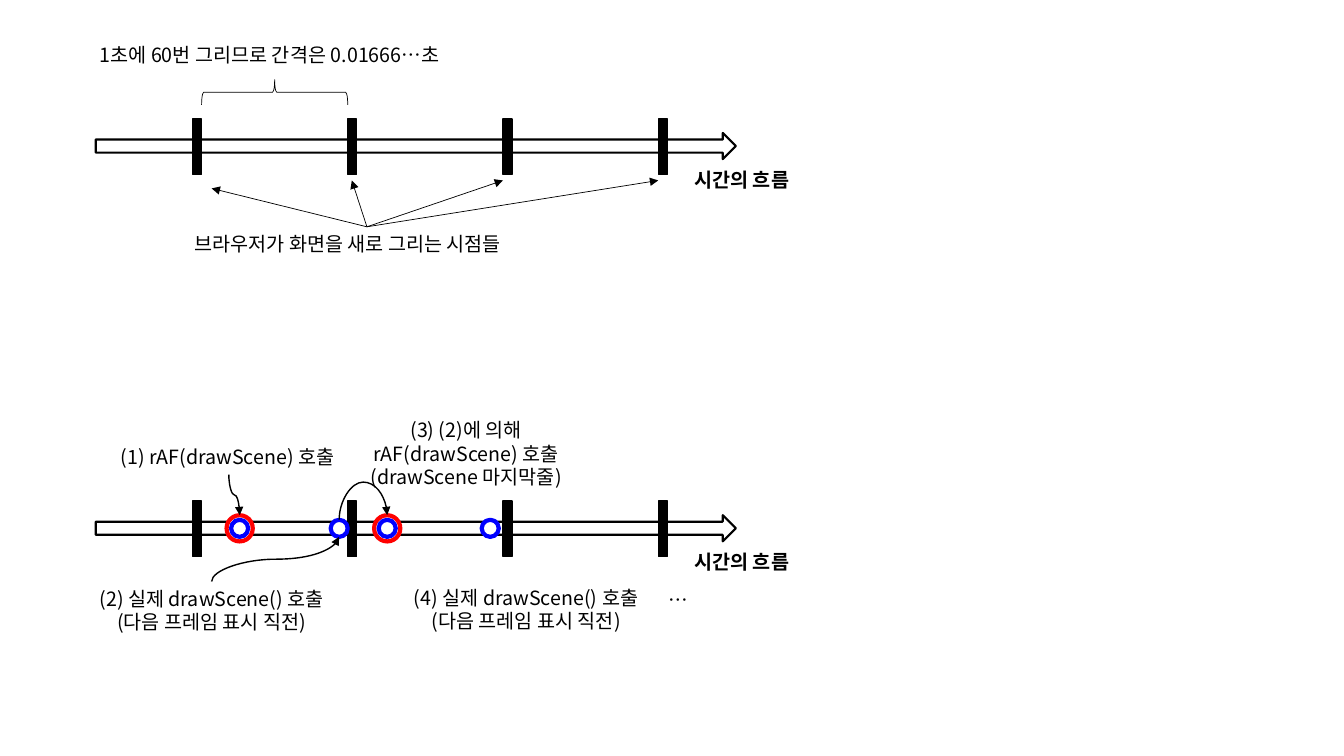
from dataclasses import dataclass

from lxml import etree
from pptx import Presentation
from pptx import util as u
from pptx.dml.color import RGBColor
from pptx.enum import shapes, text
from pptx.oxml.ns import qn


@dataclass(frozen=True)
class Theme:
    font: str = "Noto Sans CJK KR"
    size: float = 14
    ink: str = "000000"
    paper: str = "FFFFFF"
    request: str = "FF0000"
    draw: str = "0000FF"
    hairline: float = 0.5
    thin: float = 1
    medium: float = 1.5
    thick: float = 3


class TimelineSlide:
    def __init__(self, slide, theme):
        self.slide = slide
        self.theme = theme

    def shape(self, kind, left, top, width, height, fill, line, weight):
        shape = self.slide.shapes.add_shape(
            kind, u.Pt(left), u.Pt(top), u.Pt(width), u.Pt(height))
        shape.shadow.inherit = False
        if fill:
            shape.fill.solid()
            shape.fill.fore_color.rgb = RGBColor.from_string(fill)
        else:
            shape.fill.background()
        shape.line.color.rgb = RGBColor.from_string(line)
        shape.line.width = u.Pt(weight)
        return shape

    def ring(self, center_x, center_y, diameter, color):
        self.shape(shapes.MSO_SHAPE.OVAL, center_x - diameter / 2,
                   center_y - diameter / 2, diameter, diameter,
                   self.theme.paper, color, self.theme.thick)

    def label(self, left, top, width, height, lines, centered=False, bold=False):
        box = self.slide.shapes.add_textbox(
            u.Pt(left), u.Pt(top), u.Pt(width), u.Pt(height))
        frame = box.text_frame
        frame.word_wrap = True
        frame.auto_size = text.MSO_AUTO_SIZE.SHAPE_TO_FIT_TEXT
        for number, line in enumerate(lines):
            paragraph = frame.add_paragraph() if number else frame.paragraphs[0]
            if centered:
                paragraph.alignment = text.PP_ALIGN.CENTER
            run = paragraph.add_run()
            run.text = line
            font = run.font
            font.name = self.theme.font
            font.size = u.Pt(self.theme.size)
            font.bold = bold
            font.color.rgb = RGBColor.from_string(self.theme.ink)
            east_asian = etree.SubElement(font._element, qn("a:ea"))
            east_asian.set("typeface", self.theme.font)
        return box

    def arrow(self, kind, begin, end, weight):
        connector = self.slide.shapes.add_connector(
            kind, *(u.Pt(value) for value in (*begin, *end)))
        connector.line.color.rgb = RGBColor.from_string(self.theme.ink)
        connector.line.width = u.Pt(weight)
        outline = connector.line._get_or_add_ln()
        etree.SubElement(outline, qn("a:tailEnd")).set("type", "triangle")
        etree.SubElement(connector._element.spPr, qn("a:effectLst"))
        return connector

    def straight_arrow(self, source, end):
        """Arrow from the top middle of the source box."""
        connector = self.arrow(shapes.MSO_CONNECTOR.STRAIGHT, (0, 0), end,
                               self.theme.hairline)
        connector.begin_connect(source, 0)

    def curved_arrow(self, begin, end, bend=None):
        """S-curve that leaves and arrives vertically; bend places its middle."""
        (x1, y1), (x2, y2) = begin, end
        middle_x, middle_y = (x1 + x2) / 2, (y1 + y2) / 2
        upward = y2 < y1
        half_width = abs(y2 - y1) / 2
        half_height = (x2 - x1) / 2 * (1 if upward else -1)
        connector = self.arrow(
            shapes.MSO_CONNECTOR.CURVE,
            (middle_x + half_width, middle_y + half_height),
            (middle_x - half_width, middle_y - half_height), self.theme.thin)
        properties = connector._element.spPr
        properties.find(qn("a:xfrm")).set("rot", str((90 if upward else 270) * 60000))
        if bend is not None:
            values = properties.find(qn("a:prstGeom")).find(qn("a:avLst"))
            guide = etree.SubElement(values, qn("a:gd"))
            guide.set("name", "adj1")
            guide.set("fmla", f"val {round(bend * 100000)}")

    def timeline(self, top):
        theme = self.theme
        self.shape(shapes.MSO_SHAPE.RIGHT_ARROW, 68.4, top, 457.2, 18.7,
                   theme.paper, theme.ink, theme.medium)
        for frame in range(4):
            self.shape(shapes.MSO_SHAPE.RECTANGLE, FIRST_TICK + frame * TICK_STEP,
                       top - 10, TICK_WIDTH, 39.6, theme.ink, theme.ink, theme.thin)
        self.label(488.9, top + 21.2, 90, 24.5, ["시간의 흐름"], bold=True)


FIRST_TICK, TICK_STEP, TICK_WIDTH = 137.5, 110.9, 6.5
UPPER, LOWER = 95, 368
RING_Y = LOWER + 9.4
REQUEST_RING, DRAW_RING = 18.7, 12.2


def draw_refresh_interval(page):
    page.timeline(UPPER)
    brace = page.shape(shapes.MSO_SHAPE.RIGHT_BRACE, 187.2, 13.7, 18, 104.4,
                       None, page.theme.ink, page.theme.hairline)
    brace.rotation = 270
    page.label(64.1, 27.4, 273.6, 24.5, ["1초에 60번 그리므로 간격은 0.01666…초"])
    caption = page.label(131.8, 162, 260.6, 24.5,
                         ["브라우저가 화면을 새로 그리는 시점들"])
    for tip in ((151.2, 134.6), (251.3, 128.9), (359.3, 128.9), (470.2, 128.9)):
        page.straight_arrow(caption, tip)


def draw_request_cycle(page):
    theme = page.theme
    page.timeline(LOWER)
    requests = (171.2, 276.6)
    draws = (242.3, 350.2)
    for x in requests:
        page.ring(x, RING_Y, REQUEST_RING, theme.request)
    for x in requests + draws:
        page.ring(x, RING_Y, DRAW_RING, theme.draw)

    ring_top = RING_Y - DRAW_RING / 2
    ring_bottom = RING_Y + DRAW_RING / 2
    page.curved_arrow((163.4, 339.1), (requests[0], LOWER))
    page.curved_arrow((151.2, 415.4), (draws[0], ring_bottom))
    page.curved_arrow((draws[0], ring_top), (requests[1], LOWER), bend=8.18)

    page.label(79.2, 314.6, 167.8, 24.5, ["(1) rAF(drawScene) 호출"])
    page.label(257, 295.2, 151.9, 58.3,
               ["(3) (2)에 의해 rAF(drawScene) 호출", "(drawScene 마지막줄)"],
               centered=True)
    for left, top, step in ((61.2, 415.4, 2), (285.8, 414.7, 4)):
        page.label(left, top, 180, 41,
                   [f"({step}) 실제 drawScene() 호출", "(다음 프레임 표시 직전)"],
                   centered=True)
    page.label(470.2, 416.2, 25.2, 24.5, ["…"], centered=True)


def main():
    presentation = Presentation()
    presentation.slide_width = u.Pt(960)
    presentation.slide_height = u.Pt(540)
    slide = presentation.slides.add_slide(presentation.slide_layouts[6])
    page = TimelineSlide(slide, Theme())
    draw_refresh_interval(page)
    draw_request_cycle(page)
    presentation.save("out.pptx")


if __name__ == "__main__":
    main()
